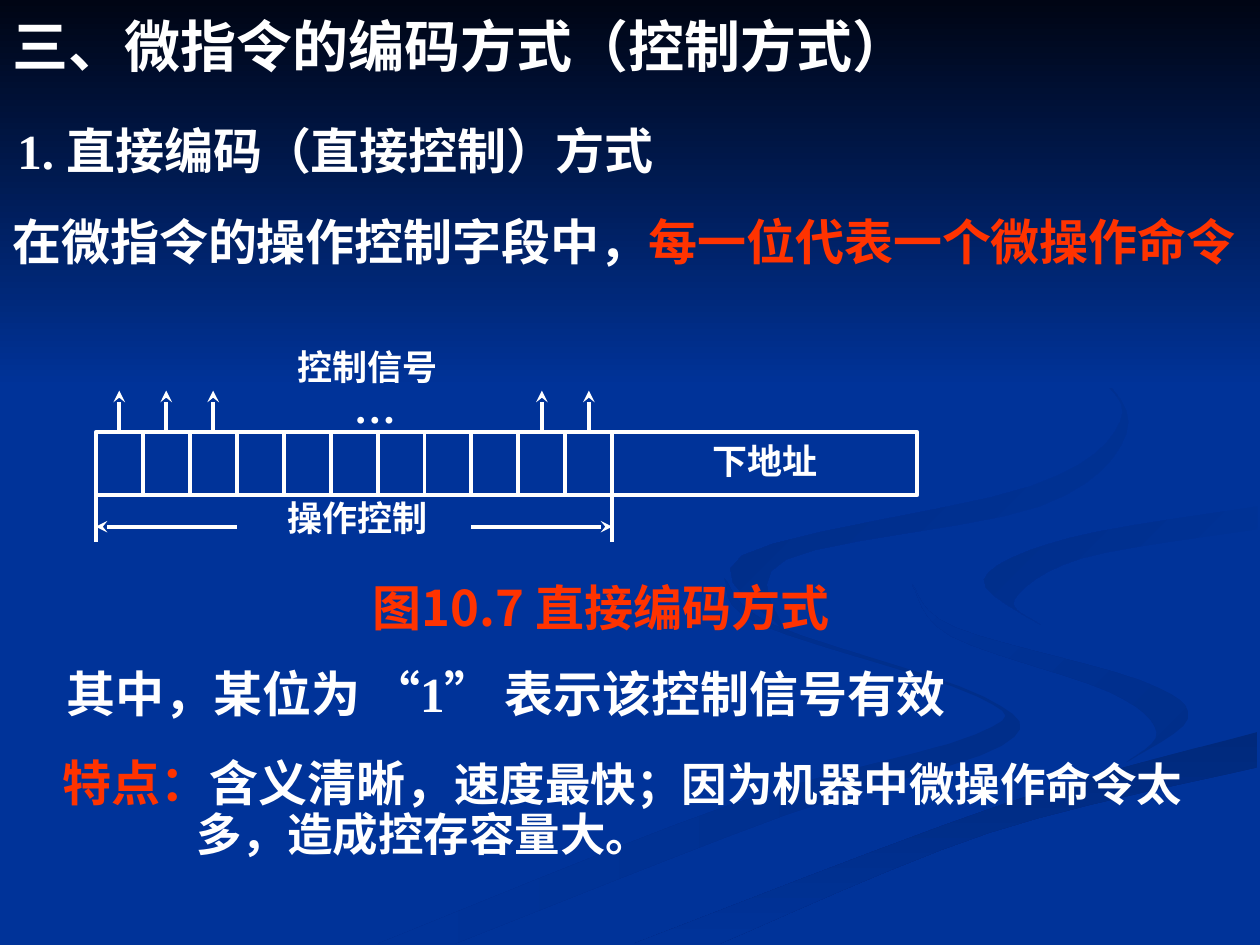
from pptx import Presentation
from pptx import util as u
from pptx.dml.color import RGBColor
from pptx.enum import lang, shapes, text
from pptx.oxml import ns, xmlchemy

Inches, Pt = u.Inches, u.Pt

COLORS = {
    "background": "003399",
    "night": "000514",
    "ribbon": "002E8A",
    "ribbon_dark": "00297C",
    "ribbon_edge": "002B81",
    "white": "FFFFFF",
    "red": "FF3300",
}
TIMES, DEJAVU, NOTO = "Times New Roman", "DejaVu Sans", "Noto Sans CJK SC"

CELL_COUNT = 11
FIELD_LEFT, FIELD_RIGHT = 0.76, 4.86
FIELD_TOP, FIELD_HEIGHT = 3.43, 0.5
FIELD_BOTTOM = FIELD_TOP + FIELD_HEIGHT
CELL_WIDTH = (FIELD_RIGHT - FIELD_LEFT) / CELL_COUNT
SIGNAL_CELLS = (0, 1, 2, 9, 10)
CURVE_STEPS = 6

# Each ribbon: start colour, end colour, clockwise angle, then its two long edges,
# both given from the same end of the ribbon
RIBBONS = [
    ("ribbon", "background", 180,
     [(5.75, 4.59), (6.14, 4.96), (7.81, 5.53), (7.95, 5.92), (6.23, 6.47), (3.61, 7.49)],
     [(5.75, 4.59), (6.02, 4.95), (7.76, 5.53), (7.74, 5.83), (5.79, 6.39), (3, 7.49)]),
    ("ribbon", "background", 225,
     [(7.24, 4.64), (7.58, 4.98), (9.05, 5.4), (9.43, 5.7), (8.94, 6.05)],
     [(7.24, 4.64), (7.55, 5.05), (8.8, 5.49), (9.18, 5.81), (8.94, 6.05)]),
    ("ribbon_dark", "background", 90,
     [(9.98, 5.81), (7.97, 6.38), (5.03, 7.49)],
     [(9.98, 6.09), (7.85, 6.61), (5.71, 7.49)]),
    ("background", "ribbon", 225,
     [(9.98, 4.02), (8.49, 4.27), (7.81, 4.6), (8.26, 4.96)],
     [(9.98, 4.2), (8.59, 4.43), (8.05, 4.76), (8.26, 4.96)]),
    ("background", "ribbon_edge", 225,
     [(7.62, 2.33), (8.64, 2.91), (8.94, 3.44), (8.25, 4.02), (6.24, 4.44), (6.22, 5)],
     [(7.62, 2.33), (8.62, 2.92), (8.89, 3.35), (8.18, 3.86), (5.89, 4.41), (6.22, 5)]),
]


def color(name):
    return RGBColor.from_string(COLORS[name])


def smooth_curve(points):
    """Return a Catmull-Rom curve through the points."""
    padded = [points[0], *points, points[-1]]
    curve = []
    for a, b, c, d in zip(padded, padded[1:], padded[2:], padded[3:]):
        for step in range(CURVE_STEPS):
            t = step / CURVE_STEPS
            curve.append(tuple(
                q + (r - p) * t / 2 + (2 * p - 5 * q + 4 * r - s) * t ** 2 / 2
                + (3 * q - p - 3 * r + s) * t ** 3 / 2
                for p, q, r, s in zip(a, b, c, d)))
    return curve + [points[-1]]


def fill_gradient(shape, start, end, angle):
    shape.shadow.inherit = False
    shape.line.fill.background()
    shape.fill.gradient()
    shape.fill.gradient_angle = (360 - angle) % 360
    for stop, name in zip(shape.fill.gradient_stops, (start, end)):
        stop.color.rgb = color(name)


def add_background(slide):
    slide.background.fill.solid()
    slide.background.fill.fore_color.rgb = color("background")
    for start, end, angle, near_edge, far_edge in RIBBONS:
        outline = [(Inches(x), Inches(y))
                   for x, y in smooth_curve(near_edge) + smooth_curve(far_edge)[::-1]]
        builder = slide.shapes.build_freeform(*outline[0])
        builder.add_line_segments(outline[1:], close=True)
        fill_gradient(builder.convert_to_shape(), start, end, angle)
    sky = slide.shapes.add_shape(shapes.MSO_SHAPE.RECTANGLE, 0, 0, Inches(10), Inches(3.08))
    fill_gradient(sky, "night", "background", 90)


def add_run(paragraph, words, size, name="white", font=TIMES, chinese=True):
    run = paragraph.add_run()
    run.text = words
    run.font.size = Pt(size)
    run.font.bold = True
    run.font.name = font
    run.font.color.rgb = color(name)
    if chinese:
        run.font.language_id = lang.MSO_LANGUAGE_ID.SIMPLIFIED_CHINESE
        east_asian = xmlchemy.OxmlElement("a:ea")
        east_asian.set("typeface", NOTO)
        run.font._element.find(ns.qn("a:latin")).addnext(east_asian)
        paragraph.line_spacing = 0.9


def add_text(slide, left, top, width, height, *runs, wrap=True):
    """Add a text box with one paragraph; each run is a tuple of add_run arguments."""
    box = slide.shapes.add_textbox(Inches(left), Inches(top), Inches(width), Inches(height))
    box.text_frame.word_wrap = wrap
    paragraph = box.text_frame.paragraphs[0]
    for run in runs:
        add_run(paragraph, *run)
    return box.text_frame


def add_field(slide, left, width):
    field = slide.shapes.add_shape(shapes.MSO_SHAPE.RECTANGLE, Inches(left), Inches(FIELD_TOP),
                                   Inches(width), Inches(FIELD_HEIGHT))
    field.shadow.inherit = False
    field.fill.background()
    field.line.color.rgb = color("white")
    field.line.width = Pt(2.25)
    return field


def add_line(slide, start, end, arrow=False):
    line = slide.shapes.add_connector(shapes.MSO_CONNECTOR.STRAIGHT,
                                      *(Inches(value) for value in start + end))
    line.line.color.rgb = color("white")
    line.line.width = Pt(2.25)
    if arrow:
        head = xmlchemy.OxmlElement("a:tailEnd")
        head.set("type", "stealth")
        line.line._get_or_add_ln().append(head)
    line._element.spPr.append(xmlchemy.OxmlElement("a:effectLst"))
    return line


def add_instruction_diagram(slide):
    cells = [add_field(slide, FIELD_LEFT + i * CELL_WIDTH, CELL_WIDTH) for i in range(CELL_COUNT)]
    address = add_field(slide, FIELD_RIGHT, 2.42).text_frame
    address.word_wrap = False
    address.vertical_anchor = text.MSO_ANCHOR.MIDDLE
    address.paragraphs[0].alignment = text.PP_ALIGN.CENTER
    add_run(address.paragraphs[0], "下地址", 20)

    for i in SIGNAL_CELLS:
        x = FIELD_LEFT + (i + 0.5) * CELL_WIDTH
        add_line(slide, (x, FIELD_TOP), (x, 3.1), arrow=True).begin_connect(cells[i], 0)
    add_text(slide, 2.71, 2.98, 0.53, 0.5, ("…", 24, "white", TIMES, False), wrap=False)
    add_text(slide, 2.26, 2.73, 1.31, 0.44, ("控制信号", 20), wrap=False)

    for edge, direction in ((FIELD_LEFT, 1), (FIELD_RIGHT, -1)):
        add_line(slide, (edge, FIELD_BOTTOM), (edge, 4.3))
        add_line(slide, (edge + direction * 3 * CELL_WIDTH, 4.18), (edge, 4.18), arrow=True)
    add_text(slide, 2.18, 3.93, 1.31, 0.44, ("操作控制", 20), wrap=False)


def main():
    presentation = Presentation()
    presentation.slide_width, presentation.slide_height = Inches(10), Inches(7.5)
    slide = presentation.slides.add_slide(presentation.slide_layouts[6])
    add_background(slide)
    add_text(slide, 0, 0.1, 8.78, 0.64, ("三、微指令的编码方式（控制方式）", 32, "white", DEJAVU))
    add_text(slide, 0.04, 0.96, 7.72, 0.57,
             ("1. ", 28), ("直接编码（直接控制）方式", 28, "white", DEJAVU))
    add_text(slide, 0, 1.68, 10, 0.57, ("在微指令的操作控制字段中，", 28, "white", DEJAVU),
             ("每一位代表一个微操作命令", 28, "red", DEJAVU))
    add_instruction_diagram(slide)
    add_text(slide, 0.43, 5.27, 8.02, 0.57, ("其中，某位为 “1” 表示该控制信号有效", 28))
    caption = add_text(slide, 1.39, 4.59, 6.76, 0.57, ("图10.7 直接编码方式", 28, "red", NOTO))
    caption.paragraphs[0].alignment = text.PP_ALIGN.CENTER
    features = add_text(slide, 0.4, 5.98, 9.39, 1, ("特点：", 28, "red"), ("含义清晰，", 28),
                        ("速度最快；因为机器中微操作命令太", 26))
    continuation = features.add_paragraph()
    continuation._p.get_or_add_pPr().set("marL", str(Inches(1.06)))
    add_run(continuation, "多，造成控存容量大。", 26)
    presentation.save("out.pptx")


if __name__ == "__main__":
    main()
